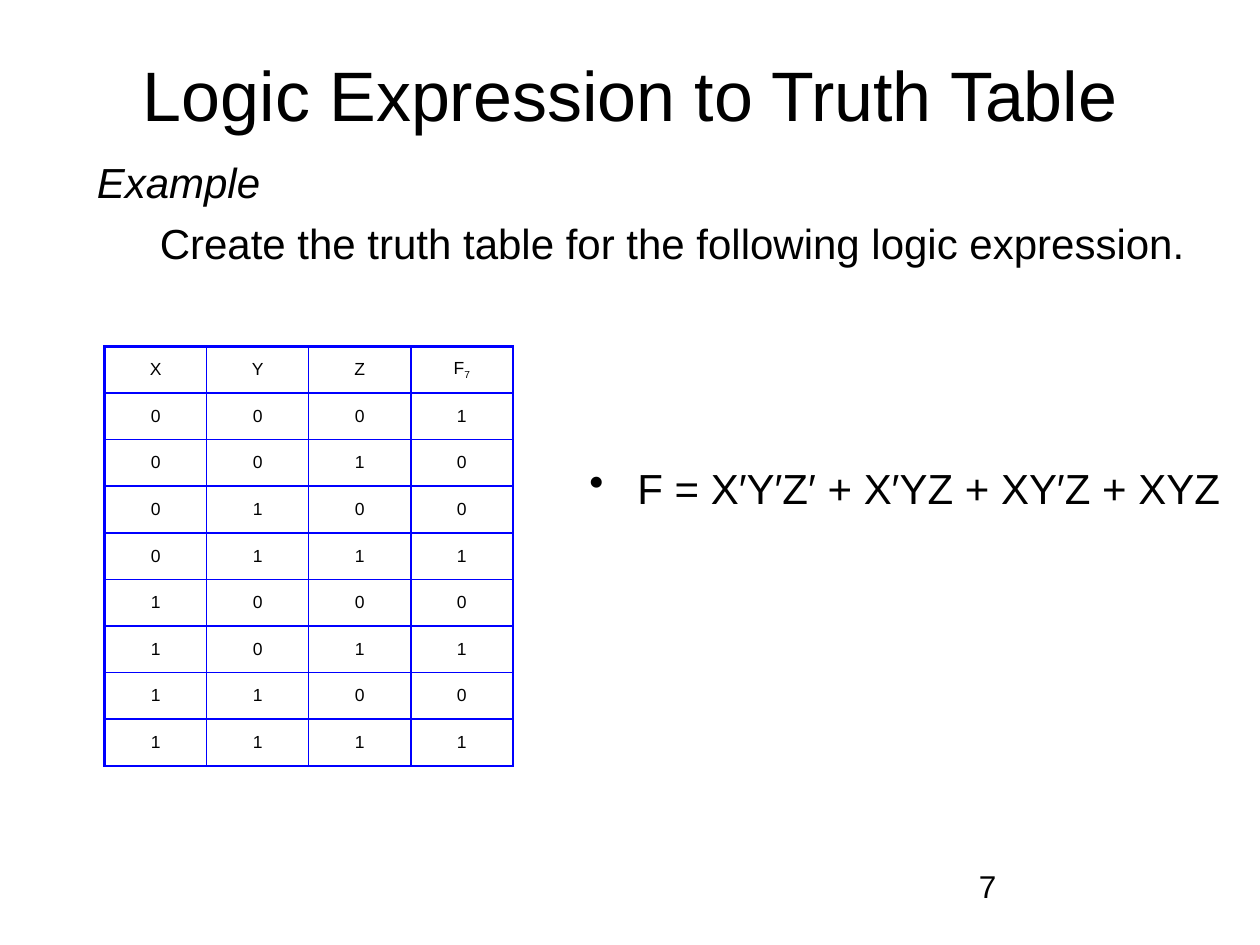
"""Build the slide on turning a logic expression into a truth table."""
from dataclasses import dataclass
from itertools import product

from lxml import etree
from pptx import Presentation
from pptx.dml.color import RGBColor
from pptx.enum.text import MSO_ANCHOR, PP_ALIGN
from pptx.oxml.ns import qn
from pptx.util import Pt

PX = 9144
FONT = "Arial"
CENTER = PP_ALIGN.CENTER
MIDDLE = MSO_ANCHOR.MIDDLE
COLORS = {"ink": "000000", "line": "0000FF", "paper": "FFFFFF"}
THIN, THICK = 1, 1.5
COL, ROW = 81, 37


@dataclass
class Para:
    """A paragraph with its size and layout."""
    text: str
    size: int
    align: PP_ALIGN | None = None
    italic: bool = False
    left: int = 0
    hang: int = 0
    before: int = 0
    after: int = 0
    bullet: str = ""


@dataclass
class Box:
    """A text box with its place and paragraphs."""
    left: int
    top: int
    width: int
    height: int
    paras: list[Para]
    inset: int = 5


BOXES = [
    Box(50, 30, 900, 125,
        [Para("Logic Expression to Truth Table", 40, CENTER)], inset=11),
    Box(458, 362, 532, 137,
        [Para("F = X′Y′Z′ + X′YZ + XY′Z + XYZ", 24,
              left=38, hang=-38, before=5, bullet="•")]),
    Box(767, 683, 233, 52, [Para("7", 18)]),
    Box(67, 119, 900, 98, [
        Para("Example", 24, italic=True, after=6),
        Para("Create the truth table for the following logic expression.", 24,
             left=50),
    ]),
]


def color(name: str) -> RGBColor:
    """Look up a named colour."""
    return RGBColor.from_string(COLORS[name])


def apply(item: object, values: dict) -> None:
    """Set each attribute in values on item."""
    for key, value in values.items():
        setattr(item, key, value)


def add_run(line, text: str, size: int, italic: bool = False):
    """Add a styled run to a paragraph."""
    run = line.add_run()
    run.text = text
    apply(run.font, {"name": FONT, "size": Pt(size), "italic": italic})
    run.font.color.rgb = color("ink")
    return run


def fill_para(line, para: Para) -> None:
    """Write a paragraph with spacing, indent and bullet."""
    apply(line, {"alignment": para.align, "space_before": Pt(para.before),
                 "space_after": Pt(para.after)})
    props = line._p.get_or_add_pPr()
    props.set("marL", str(para.left * PX))
    props.set("indent", str(para.hang * PX))
    if para.bullet:
        etree.SubElement(props, qn("a:buChar")).set("char", para.bullet)
    add_run(line, para.text, para.size, para.italic)


def draw_box(slide, box: Box) -> None:
    """Draw a text box."""
    place = (box.left, box.top, box.width, box.height)
    frame = slide.shapes.add_textbox(*(n * PX for n in place)).text_frame
    apply(frame, {"word_wrap": True, "margin_top": box.inset * PX})
    for num, para in enumerate(box.paras):
        line = frame.add_paragraph() if num else frame.paragraphs[0]
        fill_para(line, para)


def draw_edge(cell, side: str, width: float) -> None:
    """Draw one border of a cell."""
    edge = etree.SubElement(cell._tc.get_or_add_tcPr(), qn(f"a:ln{side}"))
    edge.set("w", str(Pt(width)))
    paint = etree.SubElement(edge, qn("a:solidFill"))
    etree.SubElement(paint, qn("a:srgbClr")).set("val", COLORS["line"])


def draw_cell(cell, text: str, edges: dict[str, float]) -> None:
    """Draw a bordered cell, with any digit after a letter lowered."""
    for side, width in edges.items():
        draw_edge(cell, side, width)
    cell.fill.solid()
    cell.fill.fore_color.rgb = color("paper")
    cell.vertical_anchor = MIDDLE
    line = cell.text_frame.paragraphs[0]
    line.alignment = CENTER
    add_run(line, text[0], 10)
    if text[1:]:
        sub = add_run(line, text[1:], 10)
        sub.font._element.set("baseline", "-25000")


def draw_table(slide, left: int, top: int, rows: list[list[str]]) -> None:
    """Draw the truth table with a heavy frame, header and result column."""
    high, wide = len(rows), len(rows[0])
    place = (left, top, wide * COL, high * ROW)
    table = slide.shapes.add_table(
        high, wide, *(n * PX for n in place)).table
    apply(table, {"first_row": False, "horz_banding": False})
    for col in table.columns:
        col.width = COL * PX
    for row in table.rows:
        row.height = ROW * PX
    heavy_x, heavy_y = {0, wide - 1, wide}, {0, 1, high}
    for y, x in product(range(high), range(wide)):
        edges = {
            "L": THICK if x in heavy_x else THIN,
            "R": THICK if x + 1 in heavy_x else THIN,
            "T": THICK if y in heavy_y else THIN,
            "B": THICK if y + 1 in heavy_y else THIN,
        }
        draw_cell(table.cell(y, x), rows[y][x], edges)


def truth_rows() -> list[list[str]]:
    """List the header and each input with its result."""
    rows = [["X", "Y", "Z", "F7"]]
    for x, y, z in product((0, 1), repeat=3):
        out = (y and z) or (x and z) or not (x or y or z)
        rows.append([str(int(n)) for n in (x, y, z, out)])
    return rows


def main() -> None:
    """Build and save the deck."""
    deck = Presentation()
    apply(deck, {"slide_width": 1000 * PX, "slide_height": 750 * PX})
    slide = deck.slides.add_slide(deck.slide_layouts[6])
    for box in BOXES:
        draw_box(slide, box)
    draw_table(slide, 83, 275, truth_rows())
    deck.save("out.pptx")


if __name__ == "__main__":
    main()
